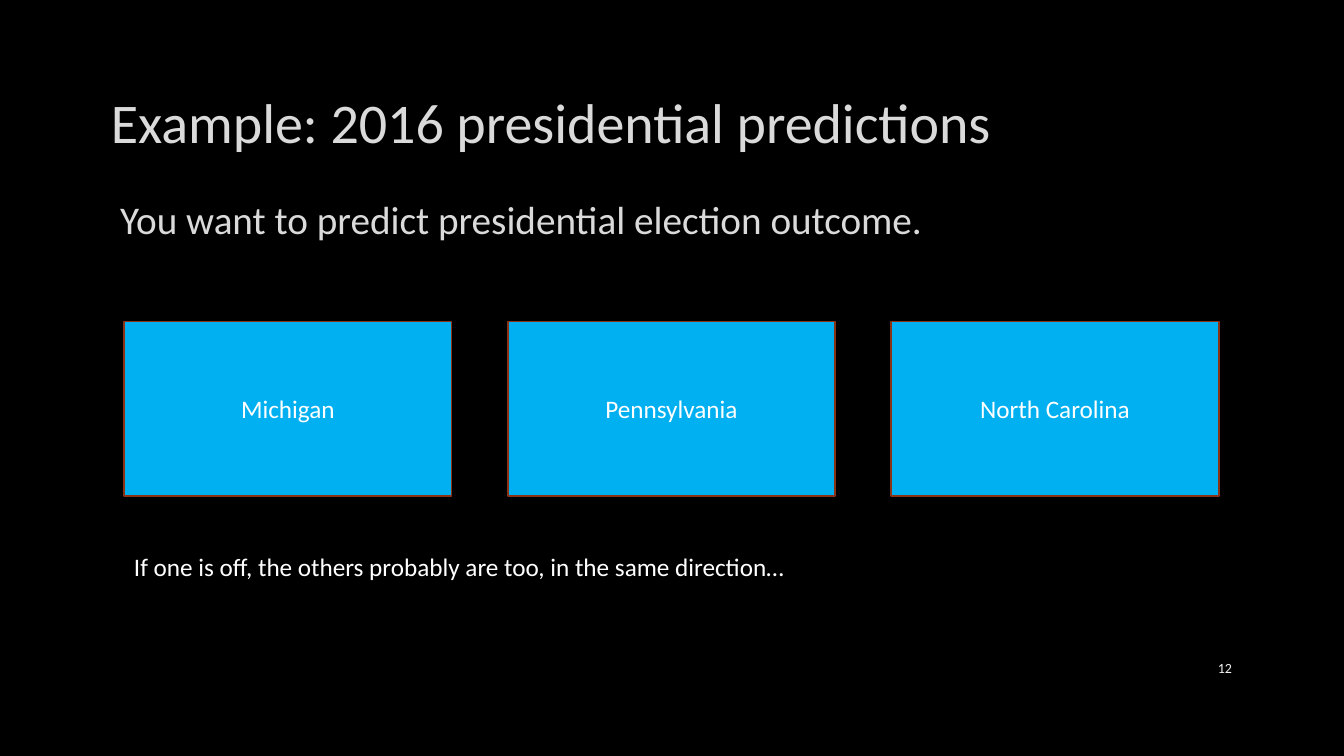
from dataclasses import dataclass

from pptx import Presentation
from pptx.dml.color import RGBColor
from pptx.enum.shapes import MSO_SHAPE
from pptx.enum.text import MSO_ANCHOR, PP_ALIGN
from pptx.util import Pt


@dataclass(frozen=True)
class Theme:
    """Colours, font and type sizes of the slide."""
    font: str = "Calibri"
    background: RGBColor = RGBColor(0x00, 0x00, 0x00)
    heading: RGBColor = RGBColor(0xDA, 0xDA, 0xDA)
    text: RGBColor = RGBColor(0xFF, 0xFF, 0xFF)
    number: RGBColor = RGBColor(0xF2, 0xF2, 0xF2)
    state_fill: RGBColor = RGBColor(0x00, 0xB0, 0xF0)
    state_line: RGBColor = RGBColor(0x8B, 0x33, 0x14)
    title_size: int = 40
    lead_size: int = 28
    body_size: int = 18
    number_size: int = 10


THEME = Theme()
STATES = ("Michigan", "Pennsylvania", "North Carolina")


def apply_format(target, values):
    """Set every attribute named in the values on the target."""
    for name, value in values.items():
        setattr(target, name, value)


def write(holder, wording, size, color, align=PP_ALIGN.LEFT, **frame_format):
    """Put one formatted paragraph into a shape."""
    frame = holder.text_frame
    apply_format(frame, {"word_wrap": True, **frame_format})
    paragraph = frame.paragraphs[0]
    paragraph.alignment = align
    run = paragraph.add_run()
    run.text = wording
    apply_format(run.font, {"name": THEME.font, "size": Pt(size)})
    run.font.color.rgb = color


def add_title(slide, wording):
    """Place and fill the title placeholder."""
    title = slide.shapes.title
    apply_format(title, {"left": Pt(72), "top": Pt(48.24),
                         "width": Pt(815), "height": Pt(76.3)})
    write(title, wording, THEME.title_size, THEME.heading,
          vertical_anchor=MSO_ANCHOR.MIDDLE)


def add_text(slide, box, wording, size, color, **text_format):
    """Add a text box given as left, top, width and height in points."""
    label = slide.shapes.add_textbox(*map(Pt, box))
    write(label, wording, size, color, **text_format)


def add_state(slide, left, state):
    """Add the box of one state."""
    box = slide.shapes.add_shape(
        MSO_SHAPE.RECTANGLE, Pt(left), Pt(229.7), Pt(234), Pt(124.5))
    box.shadow.inherit = False
    box.fill.solid()
    box.fill.fore_color.rgb = THEME.state_fill
    box.line.color.rgb = THEME.state_line
    box.line.width = Pt(1.25)
    write(box, state, THEME.body_size, THEME.text, align=PP_ALIGN.CENTER,
          vertical_anchor=MSO_ANCHOR.MIDDLE)


def main():
    """Build the slide and save it."""
    deck = Presentation()
    apply_format(deck, {"slide_width": Pt(960), "slide_height": Pt(540)})
    slide = deck.slides.add_slide(deck.slide_layouts.get_by_name("Title Only"))
    slide.background.fill.solid()
    slide.background.fill.fore_color.rgb = THEME.background

    add_title(slide, "Example: 2016 presidential predictions")
    add_text(slide, (72.7, 136.1, 815, 319.7),
             "You want to predict presidential election outcome.",
             THEME.lead_size, THEME.heading, margin_left=Pt(13))
    add_text(slide, (828, 463, 59, 28.8), "12",
             THEME.number_size, THEME.number, align=PP_ALIGN.RIGHT,
             vertical_anchor=MSO_ANCHOR.MIDDLE)
    for column, state in enumerate(STATES):
        add_state(slide, 88.6 + column * 274, state)
    add_text(slide, (88.6, 390.5, 506, 29),
             "If one is off, the others probably are too, in the same direction…",
             THEME.body_size, THEME.text, word_wrap=False)
    deck.save("out.pptx")


if __name__ == "__main__":
    main()
